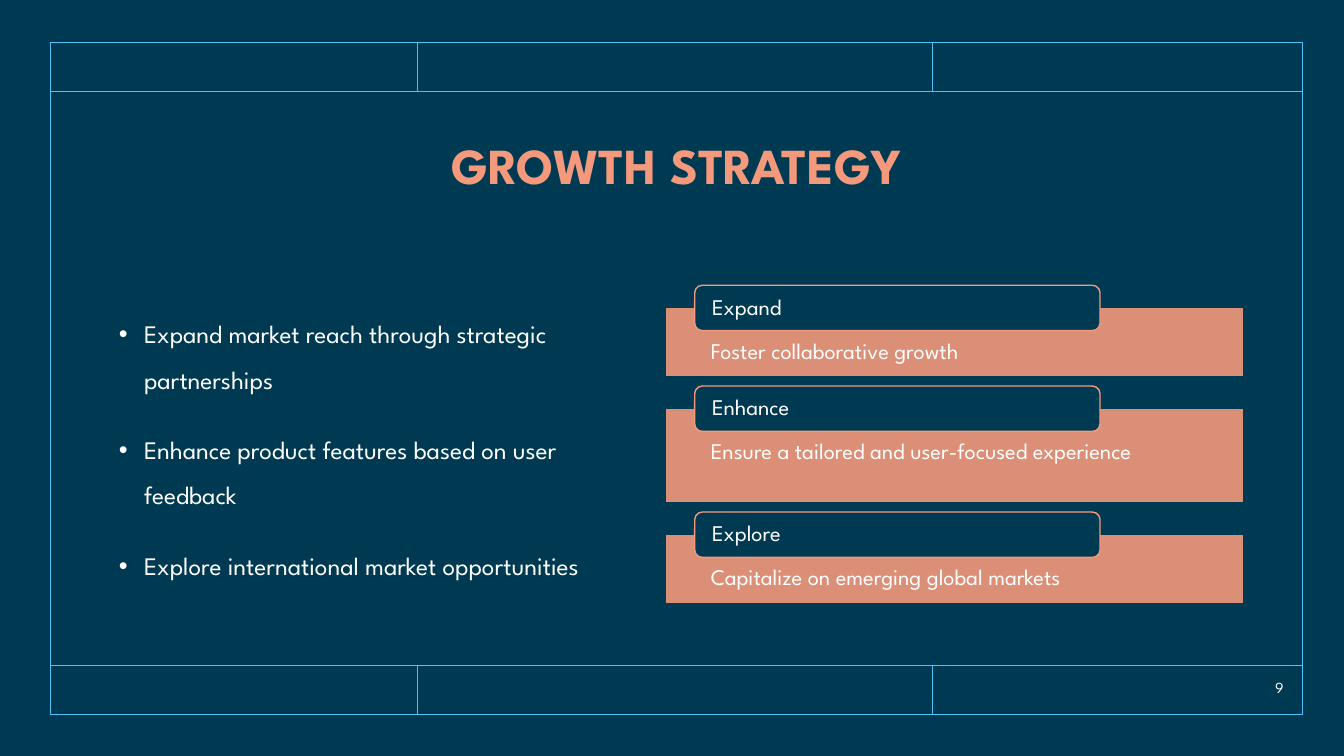
from dataclasses import dataclass

from pptx import Presentation
from pptx.dml.color import RGBColor
from pptx.enum.shapes import MSO_CONNECTOR, MSO_SHAPE
from pptx.enum.text import MSO_ANCHOR, MSO_AUTO_SIZE, PP_ALIGN
from pptx.oxml.ns import qn
from pptx.util import Inches, Pt
from lxml.etree import SubElement


@dataclass(frozen=True)
class Theme:
    navy: RGBColor = RGBColor.from_string("003A52")
    sky: RGBColor = RGBColor.from_string("51C3F9")
    coral: RGBColor = RGBColor.from_string("F4997C")
    white: RGBColor = RGBColor.from_string("FFFFFF")
    font: str = "League Spartan"
    title_size: int = 36
    body_size: int = 18
    card_size: int = 16
    number_size: int = 11
    line_width: int = 1


class SlideBuilder:
    def __init__(self, slide, theme):
        self.slide = slide
        self.theme = theme
        slide.background.fill.solid()
        slide.background.fill.fore_color.rgb = theme.navy

    def rule(self, x1, y1, x2, y2):
        line = self.slide.shapes.add_connector(
            MSO_CONNECTOR.STRAIGHT, Inches(x1), Inches(y1), Inches(x2), Inches(y2))
        line.line.color.rgb = self.theme.sky
        line.line.width = Pt(self.theme.line_width)
        SubElement(line._element.spPr, qn("a:effectLst"))

    def box(self, kind, left, top, width, height, outline, fill=None, opacity=100):
        shape = self.slide.shapes.add_shape(
            kind, Inches(left), Inches(top), Inches(width), Inches(height))
        shape.shadow.inherit = False
        shape.line.color.rgb = outline
        shape.line.width = Pt(self.theme.line_width)
        if fill is None:
            shape.fill.background()
        else:
            shape.fill.solid()
            shape.fill.fore_color.rgb = fill
        if opacity < 100:
            color = shape._element.spPr.find(qn("a:solidFill"))[0]
            SubElement(color, qn("a:alpha"), val=str(opacity * 1000))
        return shape

    def text_box(self, left, top, width, height):
        return self.slide.shapes.add_textbox(
            Inches(left), Inches(top), Inches(width), Inches(height))

    def title(self, text, left, top, width, height):
        heading = self.slide.shapes.title
        heading.left, heading.top = Inches(left), Inches(top)
        heading.width, heading.height = Inches(width), Inches(height)
        self.set_text(heading, [text], self.theme.title_size, color=self.theme.coral,
                      align=PP_ALIGN.CENTER, bold=True)

    def set_text(self, shape, lines, size, color=None, align=PP_ALIGN.LEFT,
                 anchor=MSO_ANCHOR.MIDDLE, spacing=0.9, before=0, bold=False,
                 insets=(0.1, 0.05, 0.1, 0.05)):
        frame = shape.text_frame
        frame.word_wrap = True
        frame.auto_size = MSO_AUTO_SIZE.NONE
        frame.vertical_anchor = anchor
        (frame.margin_left, frame.margin_top,
         frame.margin_right, frame.margin_bottom) = map(Inches, insets)
        for index, line in enumerate(lines):
            paragraph = frame.add_paragraph() if index else frame.paragraphs[0]
            paragraph.alignment = align
            paragraph.line_spacing = spacing
            paragraph.space_before = Pt(before)
            run = paragraph.add_run()
            run.text = line
            run.font.name = self.theme.font
            run.font.size = Pt(size)
            run.font.bold = bold
            run.font.color.rgb = color or self.theme.white

    def bullets(self, lines, left, top, width, height):
        points = self.text_box(left, top, width, height)
        self.set_text(points, lines, self.theme.body_size, spacing=1.5, before=18)
        for paragraph in points.text_frame.paragraphs:
            properties = paragraph._p.get_or_add_pPr()
            properties.set("marL", str(Inches(0.25)))
            properties.set("indent", str(-Inches(0.25)))
            SubElement(properties, qn("a:buFont"), typeface="Arial")
            SubElement(properties, qn("a:buChar"), char="•")

    def card(self, heading, detail, top, height):
        theme = self.theme
        panel = self.box(MSO_SHAPE.RECTANGLE, 6.6, top, 5.74, height,
                         theme.navy, theme.coral, opacity=90)
        self.set_text(panel, [detail], theme.card_size, anchor=MSO_ANCHOR.TOP,
                      insets=(0.45, 0.32, 0.45, 0.12))
        tab = self.box(MSO_SHAPE.ROUNDED_RECTANGLE, 6.89, top - 0.22, 4.02, 0.45,
                       theme.coral, theme.navy)
        self.set_text(tab, [heading], theme.card_size, insets=(0.15, 0, 0.15, 0))


def main():
    deck = Presentation()
    deck.slide_width, deck.slide_height = Inches(13.33), Inches(7.5)
    theme = Theme()
    page = SlideBuilder(deck.slides.add_slide(deck.slide_layouts[5]), theme)

    # Frame with a divided band at the top and bottom
    left, top, width, height, band = 0.5, 0.42, 12.42, 6.67, 0.49
    right, bottom = left + width, top + height
    page.box(MSO_SHAPE.RECTANGLE, left, top, width, height, theme.sky)
    for outer, inner in ((top, top + band), (bottom, bottom - band)):
        page.rule(left, inner, right, inner)
        for divider in (4.14, 9.25):
            page.rule(divider, inner, divider, outer)

    # Title
    page.title("GROWTH STRATEGY", left, top + band, width, 1.52)

    # Strategy points
    page.bullets([
        "Expand market reach through strategic partnerships",
        "Enhance product features based on user feedback",
        "Explore international market opportunities",
    ], 1.08, 2.52, 5.08, 3.73)

    # Goal cards, stacked with an equal gap
    card_top, gap = 3.05, 0.31
    for heading, detail, card_height in (
        ("Expand", "Foster collaborative growth", 0.69),
        ("Enhance", "Ensure a tailored and user-focused experience", 0.94),
        ("Explore", "Capitalize on emerging global markets", 0.69),
    ):
        page.card(heading, detail, card_top, card_height)
        card_top += card_height + gap

    # Slide number
    number = page.text_box(11.91, 6.67, 0.92, 0.3)
    page.set_text(number, ["9"], theme.number_size, align=PP_ALIGN.RIGHT, spacing=1.0)

    deck.save("out.pptx")


if __name__ == "__main__":
    main()
